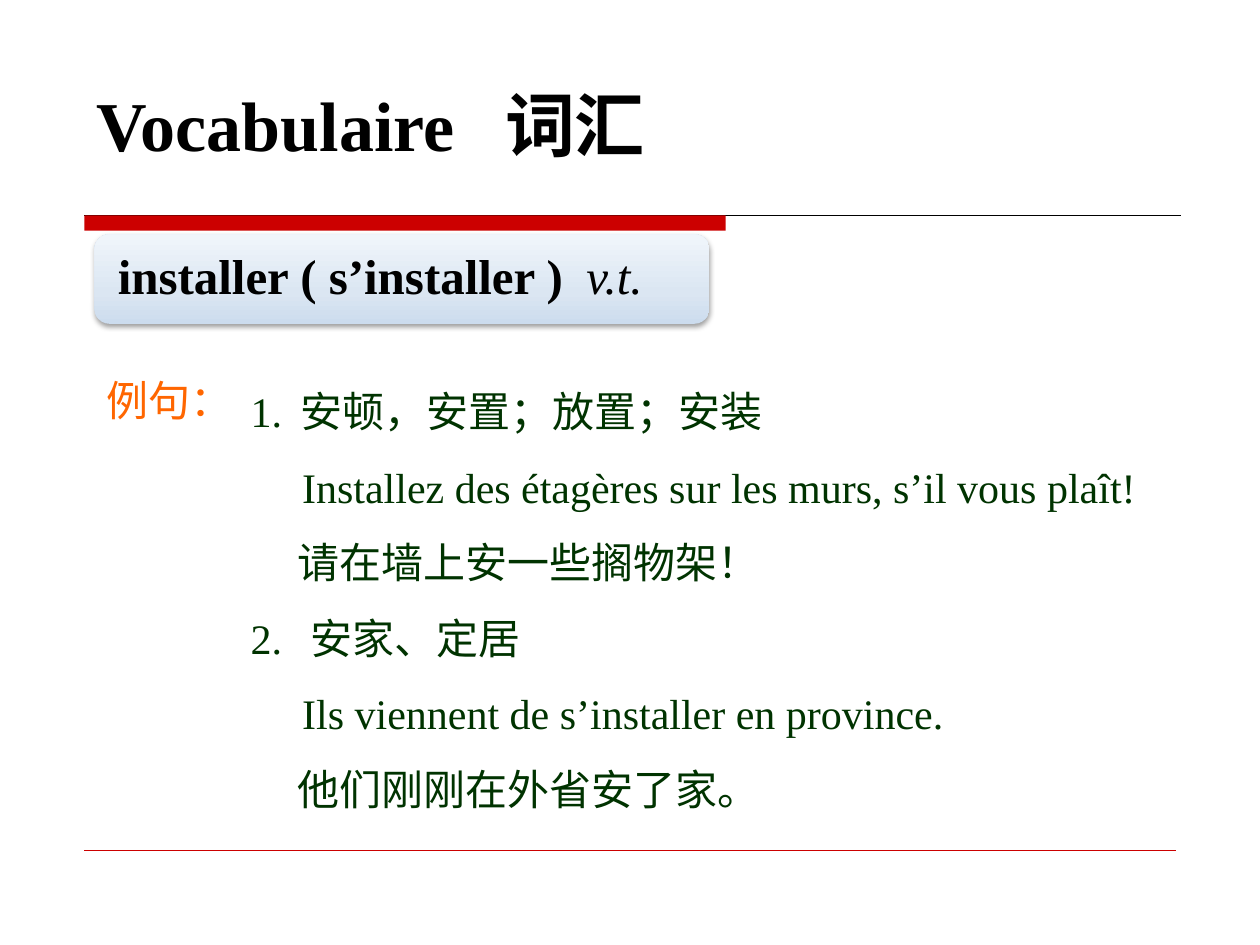
import copy
import pptx
import pptx.util
import pptx.dml.color
import pptx.enum.shapes
import pptx.enum.text
import pptx.oxml
import pptx.oxml.ns
from lxml import etree

Inches, Pt = pptx.util.Inches, pptx.util.Pt
RGB = pptx.dml.color.RGBColor.from_string
qn = pptx.oxml.ns.qn
SHAPES = pptx.enum.shapes.MSO_SHAPE

THEME = {
    "latin": "Times New Roman", "cjk": "Noto Sans CJK SC",
    "black": RGB("000000"), "red": RGB("CC0000"),
    "orange": RGB("FF6600"), "green": RGB("003300"),
    "pill": [(0, "CCDCEE"), (0.35, "DBE6F2"), (1, "F0F5FB")],
    "title": Pt(40), "entry": Pt(28), "body": Pt(24),
}


def style(paragraph, size, color, bold=False, latin=THEME["latin"], tab=None):
    """Set the type of a paragraph, with one optional tab stop."""
    properties = paragraph._p.get_or_add_pPr()
    if tab:
        stops = etree.SubElement(properties, qn("a:tabLst"))
        etree.SubElement(stops, qn("a:tab"), pos=str(Inches(tab)), algn="l")
    font = paragraph.font
    font.size, font.bold, font.name = size, bold, latin
    font.color.rgb = color
    east_asian = etree.Element(qn("a:ea"), typeface=THEME["cjk"])
    properties.find(qn("a:defRPr")).find(qn("a:latin")).addnext(east_asian)


def add_rule(left, right, y, color, width):
    rule = slide.shapes.add_connector(
        pptx.enum.shapes.MSO_CONNECTOR.STRAIGHT,
        Inches(left), Inches(y), Inches(right), Inches(y))
    rule.line.color.rgb, rule.line.width = color, Pt(width)
    etree.SubElement(rule._element.spPr, qn("a:effectLst"))


deck = pptx.Presentation()
deck.slide_width, deck.slide_height = Inches(10), Inches(7.5)
slide = deck.slides.add_slide(deck.slide_layouts[6])

# Rules above and below the content
add_rule(0.67, 9.37, 1.71, THEME["black"], 0.75)
title_bar = slide.shapes.add_shape(
    SHAPES.RECTANGLE, Inches(0.67), Inches(1.71), Inches(5.09), Inches(0.12))
title_bar.fill.solid()
title_bar.fill.fore_color.rgb = THEME["red"]
title_bar.line.fill.background()
title_bar.shadow.inherit = False
add_rule(0.67, 9.33, 6.75, THEME["red"], 0.25)

# Title
title = slide.shapes.add_textbox(
    Inches(0.67), Inches(0.6), Inches(7.8), Inches(0.77)).text_frame
title.word_wrap = True
title.text = "Vocabulaire\t词汇"
style(title.paragraphs[0], THEME["title"], THEME["black"], bold=True, tab=3.24)

# Headword on a shaded pill
headword = slide.shapes.add_shape(
    SHAPES.ROUNDED_RECTANGLE, Inches(0.75), Inches(1.86), Inches(4.88), Inches(0.71))
headword.fill.gradient()
headword.fill.gradient_angle = 90
first_stop = headword.fill.gradient_stops[0]._gs
first_stop.addnext(copy.deepcopy(first_stop))
for stop, (position, color) in zip(headword.fill.gradient_stops, THEME["pill"]):
    stop.position, stop.color.rgb = position, RGB(color)
headword.line.fill.background()
headword.shadow.inherit = False
shadow = etree.SubElement(
    headword._element.spPr.find(qn("a:effectLst")), qn("a:outerShdw"),
    blurRad=str(Pt(3.1)), dist=str(Pt(1.6)), dir="5400000", rotWithShape="0")
shadow_color = etree.SubElement(shadow, qn("a:srgbClr"), val="000000")
etree.SubElement(shadow_color, qn("a:alpha"), val="38000")

entry = headword.text_frame
entry.word_wrap = True
entry.margin_left = entry.margin_right = Inches(0.15)
entry.vertical_anchor = pptx.enum.text.MSO_ANCHOR.MIDDLE
entry_line = entry.paragraphs[0]
entry_line.alignment = pptx.enum.text.PP_ALIGN.LEFT
entry_line.line_spacing = 0.9
style(entry_line, THEME["entry"], THEME["black"], tab=3.72)
entry_line.add_run().text = "installer ( s’installer )\t"
entry_line.add_run().text = "v.t."
entry_line.runs[0].font.bold = True
entry_line.runs[1].font.italic = True

# Label of the examples
label = slide.shapes.add_textbox(
    Inches(0.75), Inches(2.92), Inches(2.28), Inches(0.5)).text_frame
label.word_wrap = True
label.text = "例句："
style(label.paragraphs[0], THEME["body"], THEME["orange"], latin=THEME["cjk"])

# Meanings and examples: text and where it starts; a tab follows each number
EXAMPLES = [
    ("1.\t安顿，安置；放置；安装", 0.4),
    ("Installez des étagères sur les murs, s’il vous plaît!", 0.41),
    ("请在墙上安一些搁物架！", 0.37),
    ("2.\t安家、定居", 0.48),
    ("Ils viennent de s’installer en province.", 0.41),
    ("他们刚刚在外省安了家。", 0.37),
]
examples = slide.shapes.add_textbox(
    Inches(1.89), Inches(2.81), Inches(7.8), Inches(3.66)).text_frame
examples.word_wrap = True
examples.text = "\n".join(text for text, start in EXAMPLES)
for example, (text, start) in zip(examples.paragraphs, EXAMPLES):
    example.alignment = pptx.enum.text.PP_ALIGN.JUSTIFY
    example.line_spacing = 1.5
    properties = example._p.get_or_add_pPr()
    properties.set("marL", str(Inches(start)))
    if "\t" in text:
        properties.set("indent", str(-Inches(start)))
    style(example, THEME["body"], THEME["green"])

deck.save("out.pptx")
